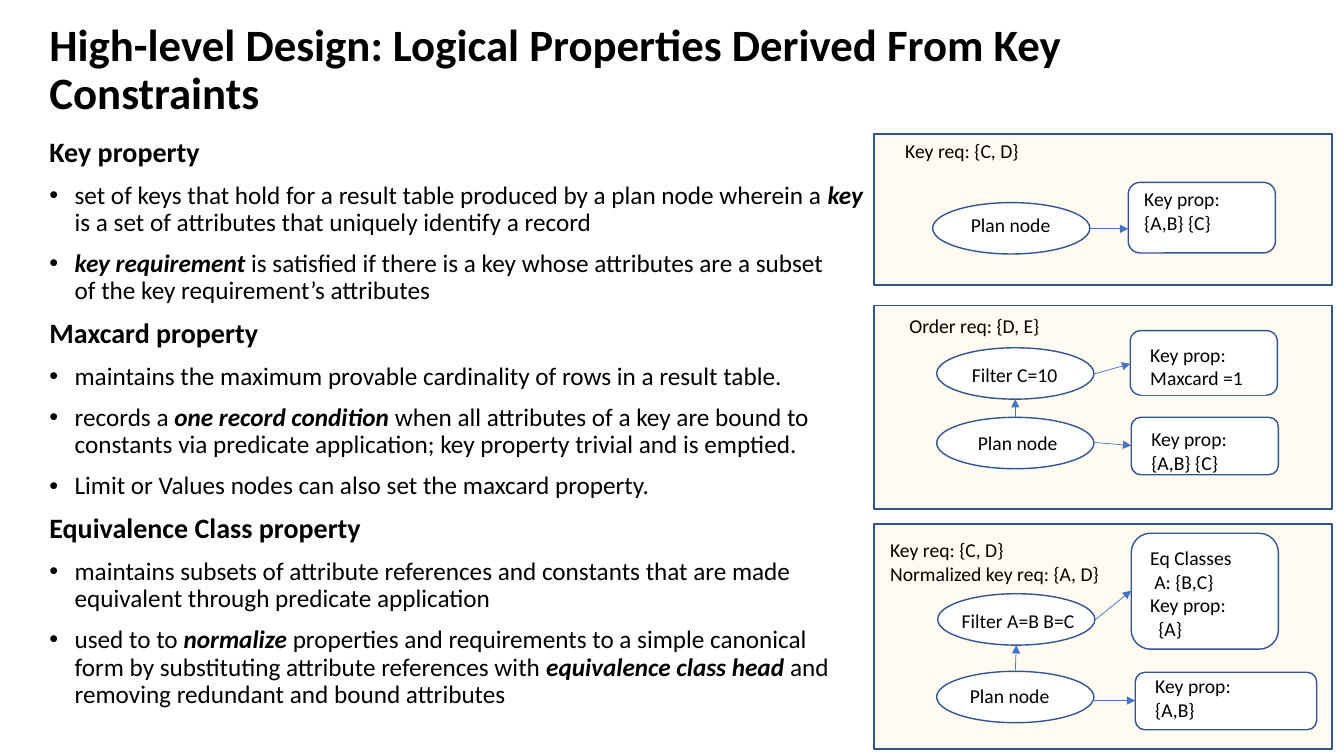
from dataclasses import dataclass
from lxml.etree import SubElement
from pptx import Presentation
from pptx.dml.color import RGBColor
from pptx.enum.shapes import MSO_CONNECTOR, MSO_SHAPE
from pptx.enum.text import MSO_ANCHOR, MSO_AUTO_SIZE, PP_ALIGN
from pptx.oxml.ns import qn
from pptx.util import Pt

SCALE = 9144


@dataclass(frozen=True)
class Theme:
    font: str = "Calibri"
    ink: str = "000000"
    paper: str = "FFFFFF"
    panel: str = "FFD966"
    edge: str = "325491"
    arrow: str = "4472C4"
    title: int = 32
    head: int = 20
    body: int = 18
    label: int = 14


THEME = Theme()

TITLE = "High-level Design: Logical Properties Derived From Key Constraints"
TOPICS = [
    ("Key property", [
        "set of keys that hold for a result table produced by a plan node wherein a "
        "*key* is a set of attributes that uniquely identify a record",
        "*key requirement *is satisfied if there is a key whose attributes are a subset\n"
        "of the key requirement’s attributes",
    ]),
    ("Maxcard property", [
        "maintains the maximum provable cardinality of rows in a result table.",
        "records a *one record condition *when all attributes of a key are bound to "
        "constants via predicate application; key property trivial and is emptied.",
        "Limit or Values nodes can also set the maxcard property.",
    ]),
    ("Equivalence Class property", [
        "maintains subsets of attribute references and constants that are made "
        "equivalent through predicate application",
        "used to to *normalize *properties and requirements to a simple canonical\n"
        "form by substituting attribute references with *equivalence class head* and "
        "removing redundant and bound attributes",
    ]),
]

PANELS = [
    dict(
        box=(867, 133, 454, 150),
        caption=("Key req: {C, D}", (21, 0, 289, 34)),
        nodes=[((58, 68), "Plan node", (86, 73, 105, 34))],
        cards=[((252, 48, 146, 70), "Key prop:\n{A,B} {C}", (258, 48, 181, 57), False)],
        arrows=[(214, 94, 252, 94)],
    ),
    dict(
        box=(867, 303, 454, 202),
        caption=("Order req: {D, E}", (25, 4, 289, 34)),
        nodes=[
            ((62, 42), "Filter C=10", (87, 52, 110, 34)),
            ((62, 111), "Plan node", (93, 120, 105, 34)),
        ],
        cards=[
            ((254, 25, 146, 64), "Key prop:\nMaxcard =1", (264, 32, 125, 57), True),
            ((255, 111, 146, 57), "Key prop:\n{A,B} {C}", (265, 116, 181, 57), False),
        ],
        arrows=[(218, 68, 254, 58), (140, 111, 140, 93), (219, 136, 255, 139)],
    ),
    dict(
        box=(867, 520, 454, 223),
        caption=("Key req: {C, D}\nNormalized key req: {A, D}", (6, 9, 289, 57)),
        nodes=[
            ((63, 69), "Filter A=B B=C", (77, 79, 141, 34)),
            ((62, 146), "Plan node", (85, 154, 105, 34)),
        ],
        cards=[
            ((255, 9, 146, 115), "Eq Classes\n A: {B,C}\nKey prop:\n  {A}",
             (264, 17, 181, 104), False),
            ((259, 147, 180, 57), "Key prop:\n{A,B}", (269, 144, 177, 57), False),
        ],
        arrows=[(219, 95, 255, 66), (140, 146, 141, 120), (216, 175, 259, 175)],
    ),
]


def px(*sizes):
    return [size * SCALE for size in sizes]


def shift(origin, box):
    return (origin[0] + box[0], origin[1] + box[1], *box[2:])


def style(run, size, bold=False, italic=False):
    font = run.font
    font.name, font.size = THEME.font, Pt(size)
    font.bold, font.italic = bold, italic
    font.color.rgb = RGBColor.from_string(THEME.ink)


def place(shape, box):
    shape.left, shape.top, shape.width, shape.height = px(*box)


def draw(slide, kind, box, fill, line=True):
    shape = slide.shapes.add_shape(kind, *px(*box))
    shape.shadow.inherit = False
    shape.fill.solid()
    shape.fill.fore_color.rgb = RGBColor.from_string(fill)
    if line:
        shape.line.color.rgb = RGBColor.from_string(THEME.edge)
        shape.line.width = Pt(1)
    else:
        shape.line.fill.background()
    return shape


def label(slide, text, box, solid=False):
    if solid:
        shape = draw(slide, MSO_SHAPE.RECTANGLE, box, THEME.paper, line=False)
    else:
        shape = slide.shapes.add_textbox(*px(*box))
    frame = shape.text_frame
    frame.word_wrap = True
    frame.vertical_anchor = MSO_ANCHOR.TOP
    frame.text = "\n".join(line.strip() for line in text.split("\n"))
    for para, line in zip(frame.paragraphs, text.split("\n")):
        para.alignment = PP_ALIGN.LEFT
        depth = len(line) - len(line.lstrip())
        para._p.get_or_add_pPr().set("marL", str(depth * 4 * SCALE))
        for run in para.runs:
            style(run, THEME.label)


def arrow(slide, ends):
    line = slide.shapes.add_connector(MSO_CONNECTOR.STRAIGHT, *px(*ends))
    line.line.color.rgb = RGBColor.from_string(THEME.arrow)
    line.line.width = Pt(0.5)
    SubElement(line.line._get_or_add_ln(), qn("a:tailEnd"), type="triangle")
    SubElement(line._element.spPr, qn("a:effectLst"))


def panel(slide, box, caption, nodes, cards, arrows):
    back = draw(slide, MSO_SHAPE.RECTANGLE, box, THEME.panel)
    tint = back._element.spPr.find(qn("a:solidFill"))[0]
    SubElement(tint, qn("a:alpha"), val="9000")
    for spot, text, area in nodes:
        draw(slide, MSO_SHAPE.OVAL, shift(box, (*spot, 156, 51)), THEME.paper)
        label(slide, text, shift(box, area))
    for frame, text, area, solid in cards:
        draw(slide, MSO_SHAPE.ROUNDED_RECTANGLE, shift(box, frame), THEME.paper)
        label(slide, text, shift(box, area), solid)
    text, area = caption
    label(slide, text, shift(box, area))
    for ends in arrows:
        arrow(slide, shift(box, ends[:2]) + shift(box, ends[2:]))


def header(slide, box):
    title = slide.shapes.title
    place(title, box)
    frame = title.text_frame
    frame.text = TITLE
    frame.auto_size = MSO_AUTO_SIZE.NONE
    frame.vertical_anchor = MSO_ANCHOR.MIDDLE
    para = frame.paragraphs[0]
    para.alignment, para.line_spacing = PP_ALIGN.LEFT, 0.9
    style(para.runs[0], THEME.title, bold=True)


def write(para, text, size, bold, bullet):
    para.line_spacing, para.space_before = 0.9, Pt(10)
    props = para._p.get_or_add_pPr()
    inset = 25 * SCALE if bullet else 0
    props.set("marL", str(inset))
    props.set("indent", str(-inset))
    if bullet:
        SubElement(props, qn("a:buFont"), typeface="Arial")
        SubElement(props, qn("a:buChar"), char="•")
    else:
        SubElement(props, qn("a:buNone"))
    for turn, part in enumerate(text.split("*")):
        strong = turn % 2 == 1
        for row, line in enumerate(part.split("\n")):
            if row:
                para.add_line_break()
            if line:
                run = para.add_run()
                run.text = line
                style(run, size, bold or strong, strong)


def topics(slide, box):
    body = slide.placeholders[1]
    place(body, box)
    frame = body.text_frame
    frame.auto_size = MSO_AUTO_SIZE.NONE
    lines = []
    for head, points in TOPICS:
        lines.append((head, THEME.head, True, False))
        lines += [(point, THEME.body, False, True) for point in points]
    for count, line in enumerate(lines):
        para = frame.add_paragraph() if count else frame.paragraphs[0]
        write(para, *line)


def main():
    deck = Presentation()
    deck.slide_width, deck.slide_height = px(1333, 750)
    slide = deck.slides.add_slide(deck.slide_layouts[1])
    header(slide, (39, -2, 1234, 145))
    topics(slide, (39, 132, 828, 476))
    for parts in PANELS:
        panel(slide, **parts)
    deck.save("out.pptx")


if __name__ == "__main__":
    main()
